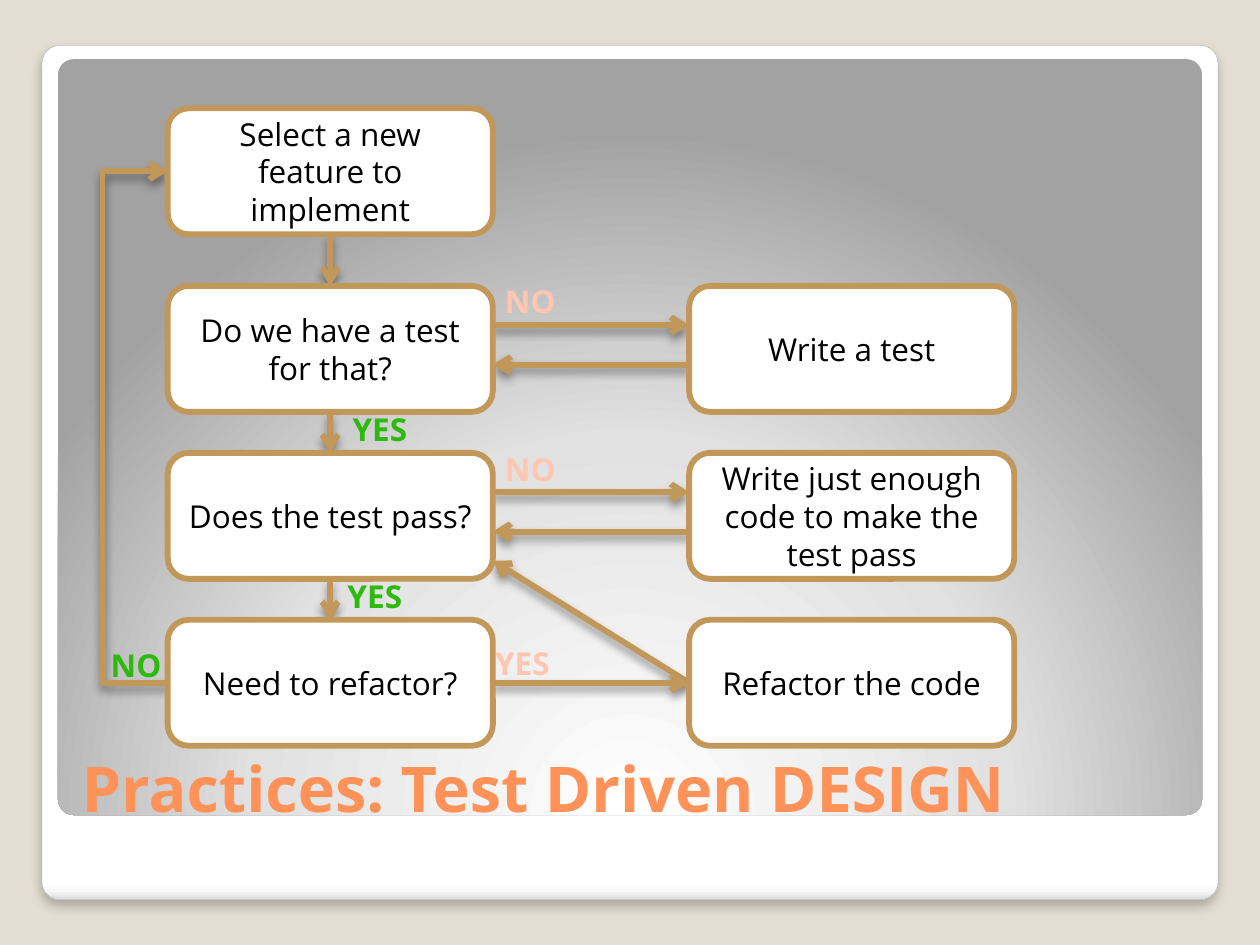
from dataclasses import dataclass

import pptx
import pptx.dml.color
import pptx.enum.shapes
import pptx.enum.text
import pptx.oxml
import pptx.oxml.ns
import pptx.util

Pt = pptx.util.Pt
SHAPE = pptx.enum.shapes.MSO_SHAPE
CONNECTOR = pptx.enum.shapes.MSO_CONNECTOR
ALIGN = pptx.enum.text.PP_ALIGN
ANCHOR = pptx.enum.text.MSO_ANCHOR
AUTO_SIZE = pptx.enum.text.MSO_AUTO_SIZE


@dataclass(frozen=True)
class Theme:
    """Colours, font and sizes of the slide."""
    font: str = "Open Sans"
    backdrop: str = "E3DED1"
    white: str = "FFFFFF"
    black: str = "000000"
    edge: str = "A4A4A4"
    brown: str = "C19859"
    orange: str = "FF9258"
    green: str = "2DB90E"
    pink: str = "FFC6B2"
    title_size: float = 36
    body_size: float = 18
    line_width: float = 3.35


@dataclass(frozen=True)
class Step:
    """A flowchart box in a column and row of the grid."""
    column: int
    row: int
    text: str


@dataclass(frozen=True)
class Arrow:
    """A straight arrow between two points."""
    x1: float
    y1: float
    x2: float
    y2: float


@dataclass(frozen=True)
class Label:
    """An answer beside an arrow."""
    x: float
    y: float
    text: str
    color: str


@dataclass(frozen=True)
class Panel:
    """A rounded backing panel with a gradient."""
    x: float
    y: float
    width: float
    height: float
    stops: tuple
    direction: str


THEME = Theme()
BOX_WIDTH, BOX_HEIGHT = 185.8, 72
COLUMNS = (95.8, 393.8)
ROWS = (61.9, *(163.4 + 95.4 * i for i in range(3)))
LEFT_EDGE, GAP_START, GAP_END = COLUMNS[0], COLUMNS[0] + BOX_WIDTH, COLUMNS[1]
MIDDLE = LEFT_EDGE + BOX_WIDTH / 2
HALF = BOX_HEIGHT / 2
LOOP_X = 58.3

PANELS = (
    Panel(24, 25.9, 672, 488.2,
          ((0, "FFFFFF"), (98, "FFFFFF"), (99, "F7F7F7"), (100, "DADADA")),
          '<a:lin ang="5400000" scaled="0"/>'),
    Panel(33.1, 33.8, 653.8, 432,
          ((0, "FFFFFF"), (55, "E1E1E1"), (100, "A2A2A2")),
          '<a:path path="circle"><a:fillToRect l="50000" t="175000" '
          'r="50000" b="-75000"/></a:path>'),
)
STEPS = (
    Step(0, 0, "Select a new feature to implement"),
    Step(0, 1, "Do we have a test for that?"),
    Step(1, 1, "Write a test"),
    Step(0, 2, "Does the test pass?"),
    Step(1, 2, "Write just enough code to make the test pass"),
    Step(0, 3, "Need to refactor?"),
    Step(1, 3, "Refactor the code"),
)
ARROWS = (
    Arrow(GAP_END, ROWS[3] + HALF, GAP_START, 320.4),
    *(Arrow(MIDDLE, upper + BOX_HEIGHT, MIDDLE, lower)
      for upper, lower in zip(ROWS, ROWS[1:])),
    *(Arrow(GAP_START, top + 22.4, GAP_END, top + 22.4) for top in ROWS[1:3]),
    *(Arrow(GAP_END, top + 45, GAP_START, top + 45) for top in ROWS[1:3]),
    Arrow(GAP_START, ROWS[3] + HALF, GAP_END, ROWS[3] + HALF),
)
LABELS = (
    Label(194.4, 230.7, "YES", THEME.green),
    Label(281.5, 253.4, "NO", THEME.pink),
    Label(56.2, 365.8, "NO", THEME.green),
    Label(281.5, 157.7, "NO", THEME.pink),
    Label(191.5, 326.2, "YES", THEME.green),
    Label(275.8, 364.3, "YES", THEME.pink),
)


def rgb(value: str) -> pptx.dml.color.RGBColor:
    """Turn a hex string into a colour."""
    return pptx.dml.color.RGBColor.from_string(value)


def element(tag: str, inner: str = "", attributes: str = ""):
    """Make one drawing element."""
    return pptx.oxml.parse_xml(
        f'<a:{tag} {pptx.oxml.ns.nsdecls("a")} {attributes}>{inner}</a:{tag}>')


def set_shadow(shape, alpha: int, blur: float, distance: float) -> None:
    """Give a shape a black shadow that falls downwards."""
    shadow = (f'<a:outerShdw blurRad="{Pt(blur)}" dist="{Pt(distance)}" '
              f'dir="5400000" algn="t" rotWithShape="0"><a:srgbClr val="{THEME.black}">'
              f'<a:alpha val="{alpha * 1000}"/></a:srgbClr></a:outerShdw>')
    shape._element.spPr.append(element("effectLst", shadow))


def set_line(line, color: str, width: float) -> None:
    """Set the colour and width of a line."""
    line.color.rgb = rgb(color)
    line.width = Pt(width)


def write(shape, text: str, size: float, color: str, bold: bool, align, **frame) -> None:
    """Write one paragraph and apply the text frame settings."""
    for name, value in frame.items():
        setattr(shape.text_frame, name, value)
    para = shape.text_frame.paragraphs[0]
    para.alignment = align
    span = para.add_run()
    span.text = text
    values = {"name": THEME.font, "size": Pt(size), "bold": bold}
    for name, value in values.items():
        setattr(span.font, name, value)
    span.font.color.rgb = rgb(color)


def add_box(page, x: float, y: float, width: float, height: float):
    """Add a rounded rectangle without a shadow."""
    box = page.shapes.add_shape(SHAPE.ROUNDED_RECTANGLE, Pt(x), Pt(y), Pt(width), Pt(height))
    box.shadow.inherit = False
    return box


def add_panel(page, panel: Panel):
    """Draw a backing panel."""
    box = add_box(page, panel.x, panel.y, panel.width, panel.height)
    box.adjustments[0] = 0.021
    box.line.fill.background()
    stops = "".join(f'<a:gs pos="{position * 1000}"><a:srgbClr val="{color}"/></a:gs>'
                    for position, color in panel.stops)
    properties = box._element.spPr
    properties.find(pptx.oxml.ns.qn("a:prstGeom")).addnext(
        element("gradFill", f"<a:gsLst>{stops}</a:gsLst>{panel.direction}", 'rotWithShape="1"'))
    return box


def add_arrow(page, arrow: Arrow, kind=CONNECTOR.STRAIGHT):
    """Draw an arrow with an open head and a shadow."""
    line = page.shapes.add_connector(
        kind, Pt(arrow.x1), Pt(arrow.y1), Pt(arrow.x2), Pt(arrow.y2))
    set_line(line.line, THEME.brown, THEME.line_width)
    line.line._get_or_add_ln().append(element("tailEnd", attributes='type="arrow"'))
    set_shadow(line, 40, 5.2, 3)
    return line


def add_loop(page) -> None:
    """Draw the bent arrow from the last step back to the first."""
    start = LEFT_EDGE + 1
    loop = add_arrow(page, Arrow(start, ROWS[3] + HALF, LEFT_EDGE, ROWS[0] + HALF),
                     CONNECTOR.ELBOW)
    bend = round((start - LOOP_X) * 100000)
    geometry = loop._element.spPr.find(pptx.oxml.ns.qn("a:prstGeom"))
    for guides in geometry.findall(pptx.oxml.ns.qn("a:avLst")):
        geometry.remove(guides)
    geometry.append(element("avLst", f'<a:gd name="adj1" fmla="val {bend}"/>'))


def add_step(page, step: Step) -> None:
    """Draw a flowchart box."""
    box = add_box(page, COLUMNS[step.column], ROWS[step.row], BOX_WIDTH, BOX_HEIGHT)
    box.fill.solid()
    box.fill.fore_color.rgb = rgb(THEME.white)
    set_line(box.line, THEME.brown, THEME.line_width)
    write(box, step.text, THEME.body_size, THEME.black, False, ALIGN.CENTER,
          word_wrap=True, vertical_anchor=ANCHOR.MIDDLE)


def add_label(page, label: Label) -> None:
    """Write an answer beside its arrow."""
    width = 53.3 if label.text == "YES" else 45.4
    box = page.shapes.add_textbox(Pt(label.x), Pt(label.y), Pt(width), Pt(28.8))
    write(box, label.text, THEME.body_size, label.color, True, ALIGN.LEFT,
          word_wrap=False, auto_size=AUTO_SIZE.SHAPE_TO_FIT_TEXT)


def main() -> None:
    """Build and save the deck."""
    deck = pptx.Presentation()
    deck.slide_width, deck.slide_height = Pt(720), Pt(540)
    page = deck.slides.add_slide(deck.slide_layouts[6])
    page.background.fill.solid()
    page.background.fill.fore_color.rgb = rgb(THEME.backdrop)
    frame, _ = [add_panel(page, panel) for panel in PANELS]
    set_line(frame.line, THEME.edge, 0.16)
    frame._element.spPr.remove(frame._element.spPr.find(pptx.oxml.ns.qn("a:effectLst")))
    set_shadow(frame, 25, 6, 4)
    for arrow in ARROWS:
        add_arrow(page, arrow)
    add_loop(page)
    title = page.shapes.add_textbox(Pt(39.6), Pt(392.4), Pt(644.4), Pt(82.8))
    write(title, "Practices: Test Driven DESIGN", THEME.title_size, THEME.orange, True,
          ALIGN.LEFT, word_wrap=True, vertical_anchor=ANCHOR.BOTTOM)
    for label in LABELS:
        add_label(page, label)
    for step in STEPS:
        add_step(page, step)
    deck.save("out.pptx")


main()
